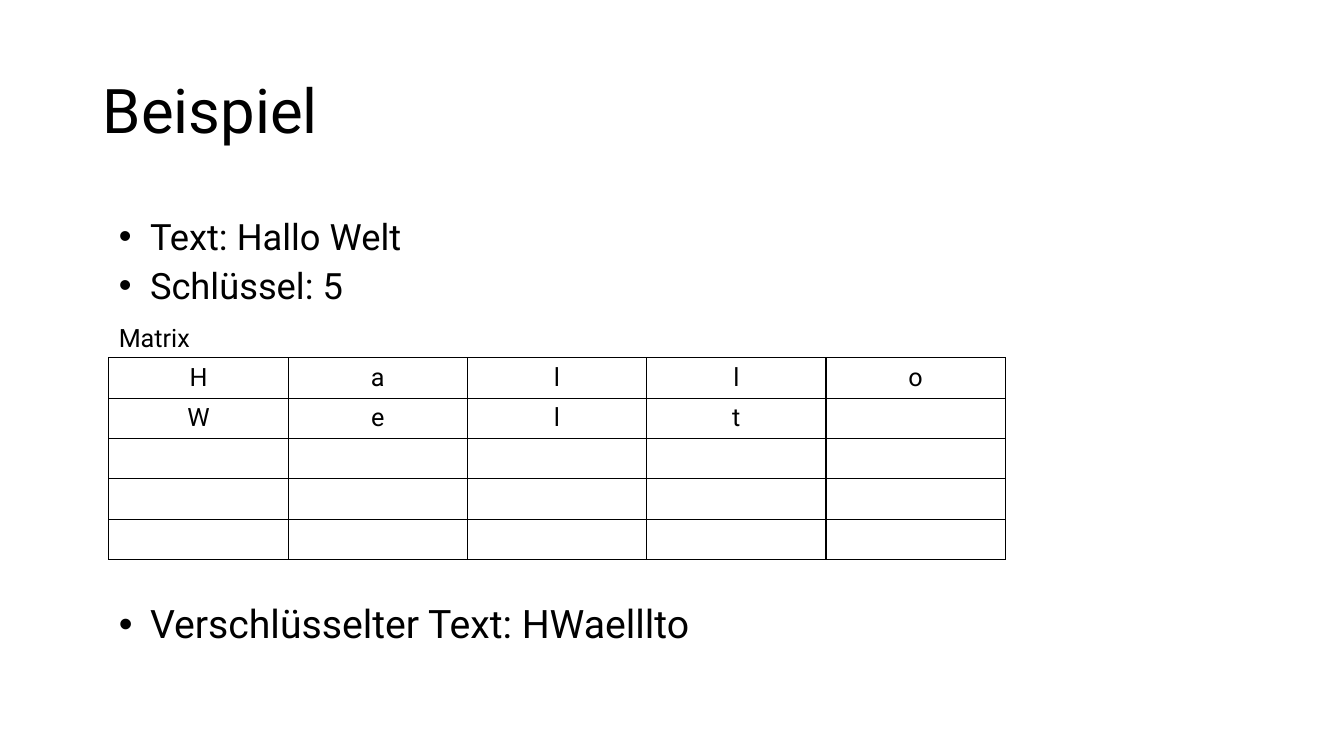
import pptx
import pptx.util
import pptx.dml.color
import pptx.enum.text
import pptx.oxml
import pptx.oxml.ns

Inches = pptx.util.Inches
Pt = pptx.util.Pt
Align = pptx.enum.text.PP_ALIGN
Anchor = pptx.enum.text.MSO_ANCHOR
Fit = pptx.enum.text.MSO_AUTO_SIZE
COLORS = {"ink": "000000"}
NS = pptx.oxml.ns.nsdecls("a")


def style(para, size, align=Align.LEFT):
    para.alignment = align
    para.font.size = Pt(size)
    para.font.name = "Roboto"
    para.font.color.rgb = pptx.dml.color.RGBColor.from_string(COLORS["ink"])


def fill_list(shape, lines, size, gap):
    frame = shape.text_frame
    frame.word_wrap = True
    frame.auto_size = Fit.NONE
    frame.text = "\n".join(lines)
    for i, para in enumerate(frame.paragraphs):
        para.line_spacing = gap
        para.space_before = Pt(10 if i else 0)
        props = para._p.get_or_add_pPr()
        props.set("marL", str(Inches(0.31)))
        props.set("indent", str(Inches(-0.31)))
        for tag in ('buFont typeface="Arial"', 'buChar char="•"'):
            props.append(pptx.oxml.parse_xml(f"<a:{tag} {NS}/>"))
        style(para, size)


deck = pptx.Presentation()
deck.slide_width = Inches(13.33)
deck.slide_height = Inches(7.5)
slide = deck.slides.add_slide(deck.slide_layouts[1])
shapes = slide.shapes

# Title
title = shapes.title
title.left, title.top = Inches(0.92), Inches(0.4)
title.width, title.height = Inches(11.5), Inches(1.45)
title.text_frame.text = "Beispiel"
title.text_frame.auto_size = Fit.NONE
title.text_frame.vertical_anchor = Anchor.MIDDLE
head = title.text_frame.paragraphs[0]
head.line_spacing = 0.9
style(head, 44)

# Result
body = slide.placeholders[1]
body.left, body.top = Inches(1.08), Inches(5.95)
body.width, body.height = Inches(11.5), Inches(0.98)
fill_list(body, ["Verschlüsselter Text: HWaelllto"], 28, 0.9)

# Matrix
rows = ["Hallo", "Welt", "", "", ""]
count = len(rows)
grid = shapes.add_table(count, count, Inches(1.08), Inches(3.55),
                        Inches(8.89), Inches(2)).table
grid.first_row = False
grid.horz_banding = False
for r, word in enumerate(rows):
    for c, char in enumerate(word.ljust(count)):
        cell = grid.cell(r, c)
        cell.text = char.strip()
        style(cell.text_frame.paragraphs[0], 18, Align.CENTER)
        props = cell._tc.get_or_add_tcPr()
        for side in "LRTB":
            props.append(pptx.oxml.parse_xml(
                f'<a:ln{side} {NS} w="{Pt(1)}"><a:solidFill>'
                f'<a:srgbClr val="{COLORS["ink"]}"/></a:solidFill></a:ln{side}>'))
        cell.fill.background()

# Matrix label
label = shapes.add_textbox(Inches(1.08), Inches(3.15), Inches(2.34), Inches(0.4))
label.text_frame.word_wrap = True
label.text_frame.auto_size = Fit.SHAPE_TO_FIT_TEXT
label.text_frame.text = "Matrix"
style(label.text_frame.paragraphs[0], 18)

# Input
given = shapes.add_textbox(Inches(1.08), Inches(2.16), Inches(11.5), Inches(0.98))
fill_list(given, ["Text: Hallo Welt", "Schlüssel: 5"], 25.9, 0.8)

deck.save("out.pptx")
